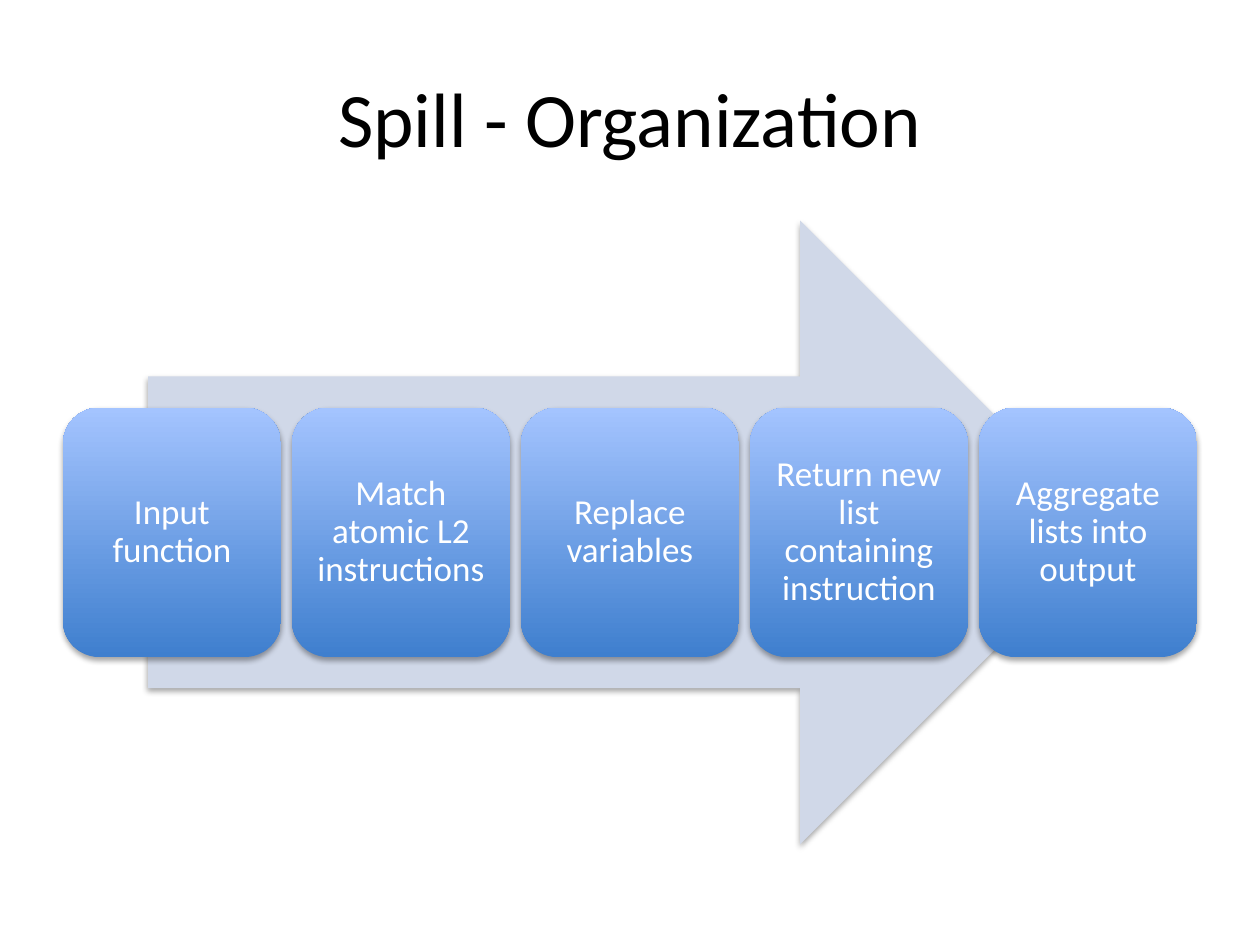
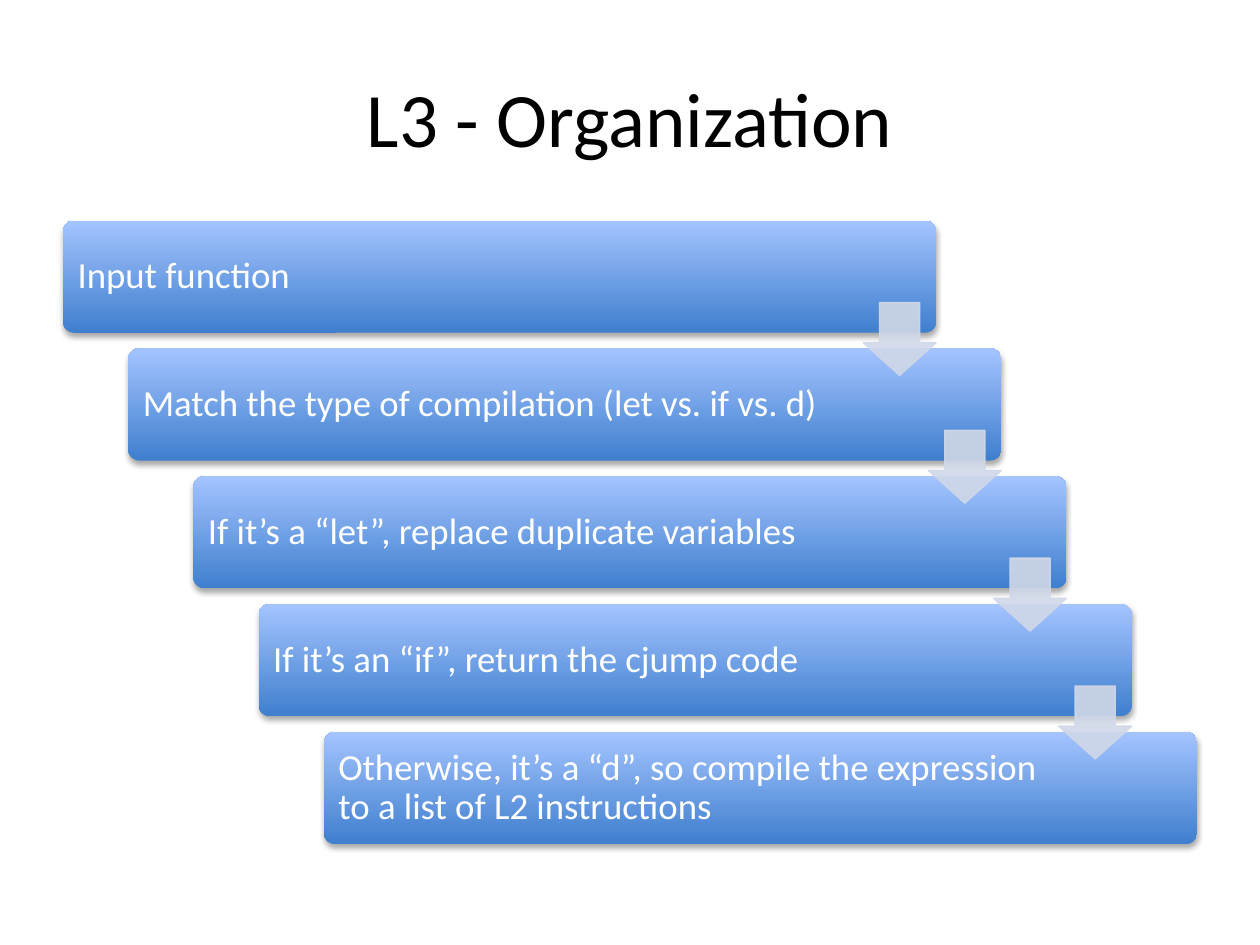
from lxml.etree import SubElement
from pptx import Presentation
from pptx.dml.color import RGBColor
from pptx.enum.shapes import MSO_SHAPE
from pptx.enum.text import MSO_ANCHOR, PP_ALIGN
from pptx.oxml.ns import qn
from pptx.util import Inches, Pt

# Shared look
FONT = "Calibri"
BLACK, WHITE, PALE = "000000", "FFFFFF", "D0D8E8"
GRADIENT = ("3F7FCE", "A4C4FF")  # bottom, top

# Shared content area, in inches
LEFT, TOP, WIDTH, HEIGHT = 0.5, 1.75, 9, 4.95

PROCESS = [
    "Input function",
    "Match atomic L2 instructions",
    "Replace variables",
    "Return new list containing instruction",
    "Aggregate lists into output",
]
STAIRS = [
    "Input function",
    "Match the type of compilation (let vs. if vs. d)",
    "If it’s a “let”, replace duplicate variables",
    "If it’s an “if”, return the cjump code",
    "Otherwise, it’s a “d”, so compile the expression to a list of L2 instructions",
]


def color(hex_code):
    return RGBColor.from_string(hex_code)


def add_run(para, text, size, hex_code):
    span = para.add_run()
    span.text = text
    span.font.name = FONT
    span.font.size = Pt(size)
    span.font.color.rgb = color(hex_code)


def add_titled_page(deck, text):
    page = deck.slides.add_slide(deck.slide_layouts.get_by_name("Title Only"))
    title = page.shapes.title
    title.left, title.top = Inches(LEFT), Inches(0.3)
    title.width, title.height = Inches(WIDTH), Inches(1.25)
    title.text_frame.vertical_anchor = MSO_ANCHOR.MIDDLE
    para = title.text_frame.paragraphs[0]
    para.alignment = PP_ALIGN.CENTER
    add_run(para, text, 44, BLACK)
    return page


def add_plain_shape(page, kind, left, top, width, height, adjustments=()):
    shape = page.shapes.add_shape(
        kind, Inches(left), Inches(top), Inches(width), Inches(height))
    for index, value in enumerate(adjustments):
        shape.adjustments[index] = value
    shape.line.fill.background()
    shape.shadow.inherit = False
    return shape


def add_soft_shadow(shape):
    effects = shape.element.spPr.find(qn("a:effectLst"))
    shadow = SubElement(effects, qn("a:outerShdw"), blurRad=str(Pt(3.1)),
                        dist=str(Pt(1.8)), dir="5400000", rotWithShape="0")
    black = SubElement(shadow, qn("a:srgbClr"), val=BLACK)
    SubElement(black, qn("a:alpha"), val="35000")


def fill_pale(shape):
    shape.fill.solid()
    shape.fill.fore_color.rgb = color(PALE)


def add_step_box(page, text, place, size, inset, right_inset, align, adjustments=()):
    box = add_plain_shape(page, MSO_SHAPE.ROUNDED_RECTANGLE, *place, adjustments)
    box.fill.gradient()
    box.fill.gradient_angle = 90
    for stop, hex_code in zip(box.fill.gradient_stops, GRADIENT):
        stop.color.rgb = color(hex_code)
    add_soft_shadow(box)
    frame = box.text_frame
    frame.word_wrap = True
    frame.vertical_anchor = MSO_ANCHOR.MIDDLE
    frame.margin_left = frame.margin_top = frame.margin_bottom = Inches(inset)
    frame.margin_right = Inches(right_inset)
    para = frame.paragraphs[0]
    para.alignment = align
    para.line_spacing = 0.9
    add_run(para, text, size, WHITE)


def add_down_arrow(page, left, top, side):
    arrow = add_plain_shape(
        page, MSO_SHAPE.DOWN_ARROW, left, top, side, side, (0.55, 0.45))
    fill_pale(arrow)
    arrow.line.width = Pt(0.75)
    arrow.line.color.rgb = color(PALE)
    # Both fill and outline are 90% opaque
    for tint in arrow.element.spPr.iter(qn("a:srgbClr")):
        SubElement(tint, qn("a:alpha"), val="90000")


def draw_process(page, steps):
    # Wide arrow behind the row of steps
    arrow_width = 0.85 * WIDTH
    arrow = add_plain_shape(page, MSO_SHAPE.RIGHT_ARROW,
                            LEFT + (WIDTH - arrow_width) / 2, TOP, arrow_width, HEIGHT)
    fill_pale(arrow)
    add_soft_shadow(arrow)

    # Equal boxes, spread over the full width
    box_width, box_height = 1.73, 0.4 * HEIGHT
    pitch = (WIDTH - box_width) / (len(steps) - 1)
    top = TOP + (HEIGHT - box_height) / 2
    for column, text in enumerate(steps):
        place = (LEFT + column * pitch, top, box_width, box_height)
        add_step_box(page, text, place, 20, 0.08, 0.08, PP_ALIGN.CENTER)


def draw_stairs(page, steps):
    box_width, box_height = 0.77 * WIDTH, 0.18 * HEIGHT
    across = (WIDTH - box_width) / (len(steps) - 1)
    down = (HEIGHT - box_height) / (len(steps) - 1)
    corners = [(LEFT + row * across, TOP + row * down) for row in range(len(steps))]

    # Stair boxes, with room at the right for the arrows
    for text, (left, top) in zip(steps, corners):
        add_step_box(page, text, (left, top, box_width, box_height),
                     21, 0.09, 1.2, PP_ALIGN.LEFT, (0.1,))

    # One arrow from each box to the next, flush with the box's right side
    side = 0.58
    for left, top in corners[:-1]:
        add_down_arrow(page, left + box_width - side, top + 0.65, side)


def main():
    deck = Presentation()
    deck.slide_width, deck.slide_height = Inches(10), Inches(7.5)
    draw_process(add_titled_page(deck, "Spill - Organization"), PROCESS)
    draw_stairs(add_titled_page(deck, "L3 - Organization"), STAIRS)
    deck.save("out.pptx")


if __name__ == "__main__":
    main()
